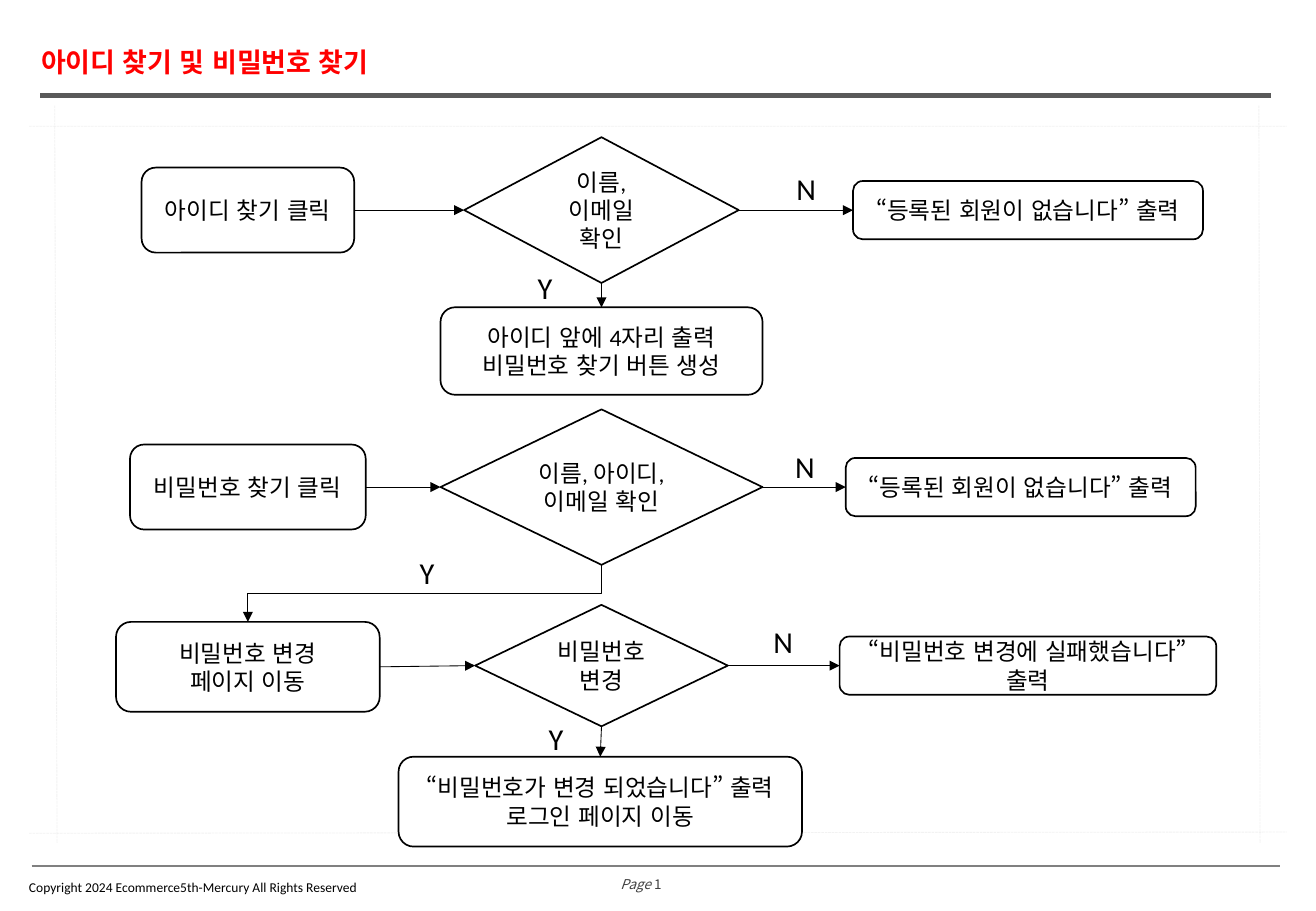
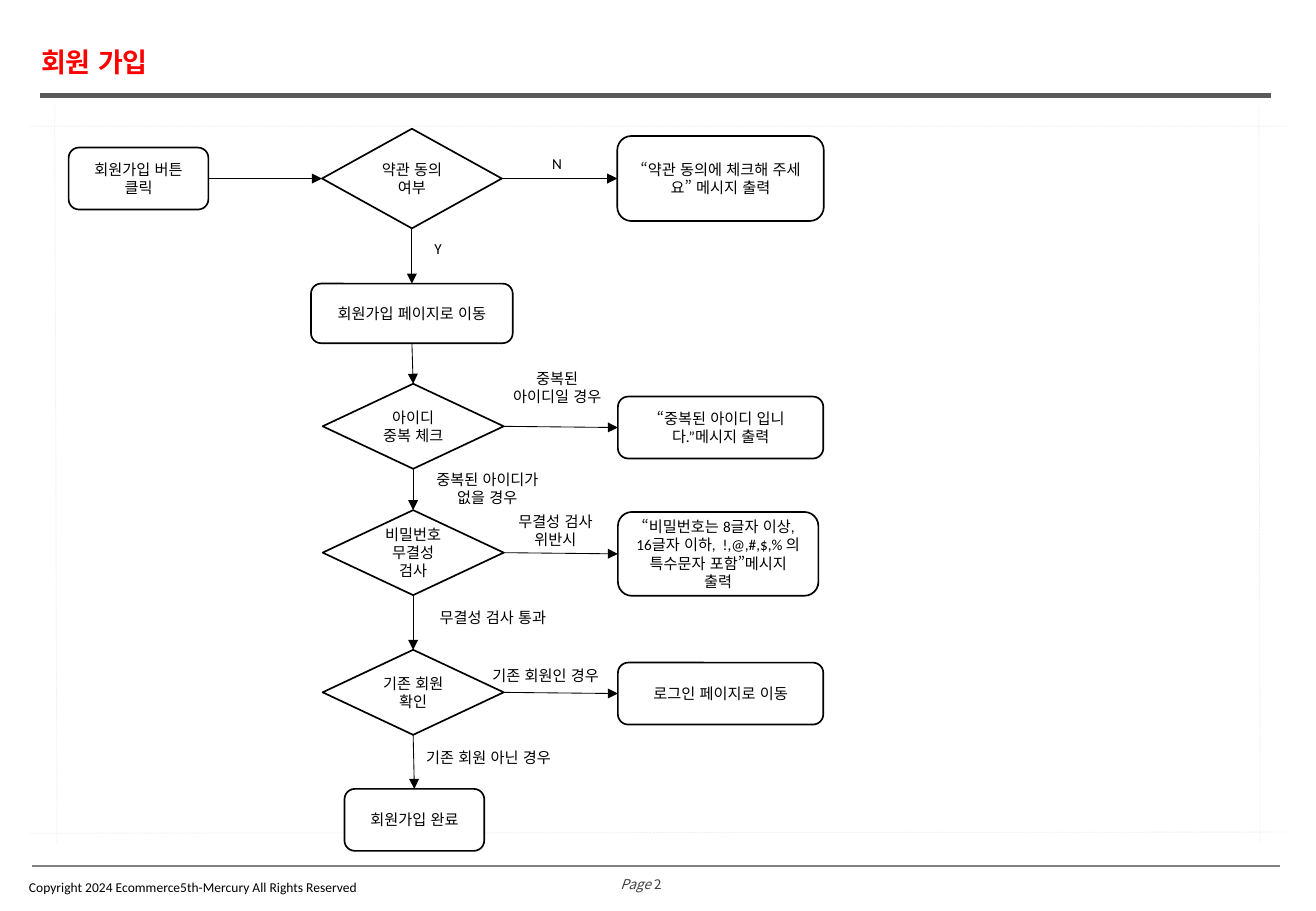
from dataclasses import dataclass

from lxml import etree
from pptx import Presentation
from pptx.dml.color import RGBColor
from pptx.enum.dml import MSO_LINE
from pptx.enum.lang import MSO_LANGUAGE_ID
from pptx.enum.shapes import MSO_CONNECTOR, MSO_SHAPE
from pptx.enum.text import MSO_ANCHOR, PP_ALIGN
from pptx.oxml.ns import qn
from pptx.util import Emu, Pt

SCALE = 9144
WIDE, HIGH = 1083, 750
BOX, TEST = MSO_SHAPE.ROUNDED_RECTANGLE, MSO_SHAPE.FLOWCHART_DECISION
STRAIGHT, ELBOW = MSO_CONNECTOR.STRAIGHT, MSO_CONNECTOR.ELBOW
TOP, MIDDLE = MSO_ANCHOR.TOP, MSO_ANCHOR.MIDDLE
LEFT, CENTER = PP_ALIGN.LEFT, PP_ALIGN.CENTER
DASH = MSO_LINE.SQUARE_DOT
KOREAN = MSO_LANGUAGE_ID.KOREAN
NORTH, WEST, SOUTH, EAST = range(4)
LATIN, HANGUL = "Calibri", "Noto Sans CJK KR"
BLACK, WHITE, RED = "000000", "FFFFFF", "FF0000"
DARK, GRAY, PALE, INK = "595959", "808080", "BFBFBF", "404040"


@dataclass
class Node:
    key: str
    kind: MSO_SHAPE
    mid_x: int
    mid_y: int
    wide: int
    high: int
    text: str


@dataclass
class Link:
    start: str
    end: str
    out: int = EAST
    into: int = WEST
    bent: bool = False


@dataclass
class Note:
    x: int
    y: int
    wide: int
    high: int
    text: str


@dataclass
class Page:
    title: str
    size: int
    note_size: int
    nodes: list[Node]
    links: list[Link]
    notes: list[Note]


def px(count: float) -> Emu:
    return Emu(round(count * SCALE))


def color(code: str) -> RGBColor:
    return RGBColor.from_string(code)


def write(shape, text: str, *, size: int, font: str = LATIN, tint: str = BLACK,
          bold: bool = False, slant: bool = False, align=CENTER, anchor=TOP,
          pitch: float | None = None) -> None:
    frame = shape.text_frame
    frame.word_wrap = True
    frame.vertical_anchor = anchor
    frame.text = text
    for para in frame.paragraphs:
        para.alignment = align
        para.line_spacing = pitch
        for run in para.runs:
            style(run, size, font, tint, bold, slant)


def style(run, size: int, font: str, tint: str, bold: bool, slant: bool) -> None:
    face = run.font
    face.size, face.name, face.bold, face.italic = Pt(size), font, bold, slant
    face.color.rgb = color(tint)
    face.language_id = KOREAN
    east = etree.Element(qn("a:ea"), typeface=HANGUL)
    run._r.rPr.find(qn("a:latin")).addnext(east)


def label(slide, x: int, y: int, wide: int, high: int, text: str, **form):
    box = slide.shapes.add_textbox(px(x), px(y), px(wide), px(high))
    write(box, text, **form)
    return box


def line(slide, x: int, y: int, to_x: int, to_y: int, tint: str, width: float,
         kind=STRAIGHT):
    rule = slide.shapes.add_connector(kind, px(x), px(y), px(to_x), px(to_y))
    rule.line.width = Pt(width)
    rule.line.color.rgb = color(tint)
    etree.SubElement(rule._element.spPr, qn("a:effectLst"))
    return rule


def fade(rule) -> None:
    rule.line.dash_style = DASH
    tint = rule.line._ln.find(".//" + qn("a:srgbClr"))
    etree.SubElement(tint, qn("a:alpha"), val="20000")


def frame_page(slide, title: str, page: int) -> None:
    line(slide, 26, 713, 1053, 713, GRAY, 0.75)
    foot = label(slide, 488, 716, 79, 24, "Page ", size=8, font=HANGUL,
                 tint=INK, slant=True, anchor=MIDDLE)
    run = foot.text_frame.paragraphs[0].add_run()
    run.text = str(page)
    style(run, 8, HANGUL, INK, False, False)
    field = run._r
    field.set("id", "{B6F15528-21DE-4FAA-801E-634DDDAF4B2B}")
    field.set("type", "slidenum")
    field.tag = qn("a:fld")
    line(slide, 33, 79, 1046, 79, DARK, 3)
    for ends in ((45, 87, 47, 694), (24, 104, 1059, 104),
                 (1036, 87, 1037, 694), (24, 686, 1059, 685)):
        fade(line(slide, *ends, PALE, 0.5))
    label(slide, 14, 722, 334, 17,
          "Copyright 2024 Ecommerce5th-Mercury All Rights Reserved",
          size=8, align=LEFT, anchor=MIDDLE)
    label(slide, 24, 36, 1030, 39, title, size=16, font=HANGUL, tint=RED,
          bold=True, align=LEFT, pitch=0.9)


def draw_node(slide, node: Node, size: int):
    shape = slide.shapes.add_shape(
        node.kind, px(node.mid_x - node.wide / 2), px(node.mid_y - node.high / 2),
        px(node.wide), px(node.high))
    shape.shadow.inherit = False
    shape.fill.solid()
    shape.fill.fore_color.rgb = color(WHITE)
    shape.line.color.rgb = color(BLACK)
    shape.line.width = Pt(1)
    write(shape, node.text, size=size, anchor=MIDDLE)
    return shape


def draw_link(slide, link: Link, shapes: dict) -> None:
    arrow = line(slide, 0, 0, 0, 0, BLACK, 0.5, ELBOW if link.bent else STRAIGHT)
    arrow.begin_connect(shapes[link.start], link.out)
    arrow.end_connect(shapes[link.end], link.into)
    etree.SubElement(arrow.line._ln, qn("a:tailEnd"), type="triangle")
    if link.bent:
        turn(arrow)


def turn(arrow) -> None:
    wide, high = arrow.width, arrow.height
    shift = (wide - high) // 2
    arrow.left, arrow.top = arrow.left + shift, arrow.top - shift
    arrow.width, arrow.height = high, wide
    form = arrow._element.spPr.find(qn("a:xfrm"))
    form.attrib.clear()
    form.set("rot", "5400000")


def draw_page(deck, page: Page, count: int) -> None:
    slide = deck.slides.add_slide(deck.slide_layouts[6])
    frame_page(slide, page.title, count)
    shapes = {node.key: draw_node(slide, node, page.size) for node in page.nodes}
    for link in page.links:
        draw_link(slide, link, shapes)
    for note in page.notes:
        label(slide, note.x, note.y, note.wide, note.high, note.text,
              size=page.note_size)


def down(start: str, end: str, bent: bool = False) -> Link:
    return Link(start, end, SOUTH, NORTH, bent)


def mark(x: int, y: int, text: str) -> Note:
    return Note(x, y, 77, 40, text)


FIND = Page(
    "아이디 찾기 및 비밀번호 찾기", 14, 18,
    [
        Node("find", BOX, 204, 173, 175, 70, "아이디 찾기 클릭"),
        Node("check", TEST, 495, 173, 226, 120, "이름, 이메일 확인"),
        Node("none", BOX, 846, 173, 288, 48, "“등록된 회원이 없습니다” 출력"),
        Node("show", BOX, 495, 289, 265, 72,
             "아이디 앞에 4자리 출력\n비밀번호 찾기 버튼 생성"),
        Node("reset", BOX, 204, 401, 194, 70, "비밀번호 찾기 클릭"),
        Node("match", TEST, 495, 401, 265, 128, "이름, 아이디, 이메일 확인"),
        Node("miss", BOX, 840, 401, 288, 48, "“등록된 회원이 없습니다” 출력"),
        Node("move", BOX, 204, 549, 217, 74, "비밀번호 변경\n페이지 이동"),
        Node("change", TEST, 495, 548, 208, 100, "비밀번호 변경"),
        Node("fail", BOX, 846, 548, 310, 48, "“비밀번호 변경에 실패했습니다” 출력"),
        Node("done", BOX, 494, 660, 332, 74,
             "“비밀번호가 변경 되었습니다” 출력\n로그인 페이지 이동"),
    ],
    [
        Link("find", "check"), Link("check", "none"), down("check", "show"),
        Link("reset", "match"), Link("match", "miss"),
        down("match", "move", True), Link("move", "change"),
        Link("change", "fail"), down("change", "done"),
    ],
    [
        mark(625, 135, "N"), mark(624, 364, "N"), mark(606, 508, "N"),
        mark(410, 217, "Y"), mark(313, 451, "Y"), mark(419, 588, "Y"),
    ],
)

JOIN = Page(
    "회원 가입", 9, 9,
    [
        Node("join", BOX, 114, 147, 115, 51, "회원가입 버튼 클릭"),
        Node("agree", TEST, 339, 147, 148, 82, "약관 동의 여부"),
        Node("warn", BOX, 593, 147, 170, 70,
             "“약관 동의에 체크해 주세요” 메시지 출력"),
        Node("form", BOX, 339, 258, 166, 49, "회원가입 페이지로 이동"),
        Node("check", TEST, 340, 351, 149, 70, "아이디 중복 체크"),
        Node("taken", BOX, 593, 352, 169, 51, "“중복된 아이디 입니다.”메시지 출력"),
        Node("rule", TEST, 340, 455, 149, 70, "비밀번호 무결성 검사"),
        Node("break", BOX, 591, 456, 165, 69,
             "“비밀번호는 8글자 이상, 16글자 이하,  !,@,#,$,% 의 특수문자 포함”메시지 출력"),
        Node("member", TEST, 340, 570, 149, 70, "기존 회원 확인"),
        Node("login", BOX, 593, 571, 169, 51, "로그인 페이지로 이동"),
        Node("done", BOX, 341, 675, 115, 51, "회원가입 완료"),
    ],
    [
        Link("join", "agree"), Link("agree", "warn"), down("agree", "form"),
        down("form", "check"), Link("check", "taken"), down("check", "rule"),
        Link("rule", "break"), down("rule", "member"),
        Link("member", "login"), down("member", "done"),
    ],
    [
        Note(420, 122, 77, 25, "N"),
        Note(345, 192, 31, 25, "Y"),
        Note(412, 299, 93, 56, "중복된 아이디일 경우"),
        Note(342, 382, 118, 40, "중복된 아이디가 없을 경우"),
        Note(412, 417, 90, 40, "무결성 검사 위반시"),
        Note(341, 496, 129, 25, "무결성 검사 통과"),
        Note(390, 544, 118, 25, "기존 회원인 경우"),
        Note(326, 611, 152, 25, "기존 회원 아닌 경우"),
    ],
)


def main() -> None:
    deck = Presentation()
    deck.slide_width, deck.slide_height = px(WIDE), px(HIGH)
    for count, page in enumerate((FIND, JOIN), 1):
        draw_page(deck, page, count)
    deck.save("out.pptx")


if __name__ == "__main__":
    main()
